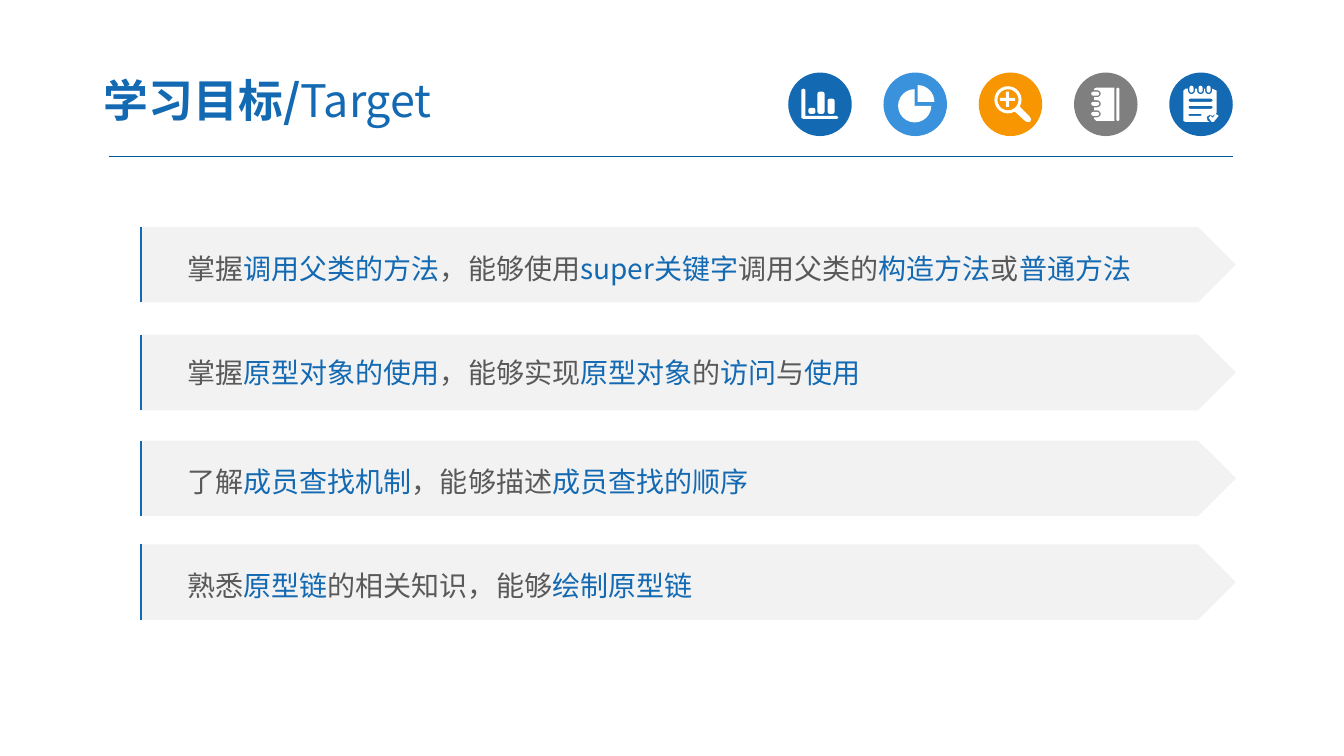
from math import cos, radians, sin

from lxml import etree
from pptx import Presentation
from pptx.dml.color import RGBColor
from pptx.enum import shapes, text
from pptx.oxml import ns
from pptx.util import Inches, Pt

FONT = "Noto Sans CJK SC"
BLUE = RGBColor(0x13, 0x69, 0xB2)
SKY = RGBColor(0x39, 0x92, 0xDB)
AMBER = RGBColor(0xF7, 0x96, 0x00)
GREY = RGBColor(0x7F, 0x7F, 0x7F)
RULE = RGBColor(0x00, 0x5B, 0x9E)
PALE = RGBColor(0xF2, 0xF2, 0xF2)
DARK = RGBColor(0x59, 0x59, 0x59)
WHITE = RGBColor(0xFF, 0xFF, 0xFF)

# Content: plain and highlighted pieces alternate
TITLE = ["学习目标/", "Target"]
GOALS = [
    (2.25, 1.2, ["掌握", "调用父类的方法", "，能够使用", "super关键字",
                 "调用父类的", "构造方法", "或", "普通方法"]),
    (3.32, 1.0, ["掌握", "原型对象的使用", "，能够实现", "原型对象",
                 "的", "访问", "与", "使用"]),
    (4.37, 1.2, ["了解", "成员查找机制", "，能够描述", "成员查找的顺序"]),
    (5.40, 1.2, ["熟悉", "原型链", "的相关知识，能够", "绘制原型链"]),
]


# Contours, in inches from the corner of the disc
def arc(x, y, r, start, end, steps=8):
    turns = [radians(start + (end - start) * i / steps) for i in range(steps + 1)]
    return [(x + r * cos(t), y + r * sin(t)) for t in turns]


def bar(x, y, w, h):
    r = min(w, h, .04) / 2
    return (arc(x + r, y + r, r, 180, 270, 2) + arc(x + w - r, y + r, r, 270, 360, 2)
            + arc(x + w - r, y + h - r, r, 0, 90, 2) + arc(x + r, y + h - r, r, 90, 180, 2))


CHART = [[(.13, .17), (.15, .16), (.17, .17), (.17, .43), (.48, .43), (.50, .45),
          (.48, .46), (.15, .46), (.13, .45)],
         bar(.20, .35, .07, .06), bar(.29, .19, .07, .22), bar(.39, .26, .07, .15)]
SHARE = [[(.31, .33)] + arc(.31, .33, .165, 0, 270, 18),
         [(.34, .29)] + arc(.34, .29, .165, 270, 360)]
ZOOM = [arc(.29, .27, .135, 60, 390, 20)
        + [(.50, .43), (.52, .46), (.51, .49), (.48, .49), (.46, .48)],
        arc(.29, .27, .105, 0, 360, 20),
        [(.21, .25), (.27, .25), (.27, .19), (.30, .19), (.30, .25), (.36, .25),
         (.36, .28), (.30, .28), (.30, .34), (.27, .34), (.27, .28), (.21, .28)]]
HOLES, RINGS = (.21, .31, .41), (.22, .31, .39)
COVER = [(.20, .16), (.22, .15), (.40, .15), (.40, .48), (.22, .48), (.20, .46)]
BITES = [p for y in reversed(HOLES) for p in
         [(.20, y + .035)] + arc(.23, y, .035, 90, -90, 6) + [(.20, y - .035)]]
BOOK = [COVER + BITES, bar(.42, .15, .03, .33)]
BOOK += [bar(.17, y - .02, .08, .04) for y in HOLES]
CUTS = [p for x in RINGS for p in
        [(x - .035, .16)] + arc(x, .18, .035, 180, 0, 6) + [(x + .035, .16)]]
SHEET = [(.47, .18), (.47, .40), (.43, .43), (.40, .42), (.37, .44), (.38, .48),
         (.40, .49), (.16, .49), (.14, .48), (.14, .18), (.16, .16)]
NOTE = [CUTS + SHEET, bar(.19, .26, .24, .03), bar(.19, .33, .24, .03),
        bar(.19, .41, .13, .02),
        [(.39, .45), (.41, .43), (.43, .45), (.46, .41), (.49, .43), (.44, .49), (.42, .49)]]
NOTE += [bar(x - .02, .13, .04, .07) for x in RINGS]
ICONS = [(BLUE, CHART), (SKY, SHARE), (AMBER, ZOOM), (GREY, BOOK), (BLUE, NOTE)]

deck = Presentation()
deck.slide_width, deck.slide_height = Inches(13.333), Inches(7.5)
slide = deck.slides.add_slide(deck.slide_layouts[5])


def paint(item, fill):
    item.shadow.inherit = False
    item.fill.solid()
    item.fill.fore_color.rgb = fill
    item.line.fill.background()
    return item


def place(kind, box, fill):
    return paint(slide.shapes.add_shape(kind, *map(Inches, box)), fill)


def trace(paths, left, top, closed=True):
    pen = None
    for path in paths:
        spots = [(Inches(left + x), Inches(top + y)) for x, y in path]
        if pen is None:
            pen = slide.shapes.build_freeform(*spots[0])
        else:
            pen.move_to(*spots[0])
        pen.add_line_segments(spots[1:], close=closed)
    return pen.convert_to_shape()


def write(para, words, size, tint, bold=False):
    run = para.add_run()
    run.text = words
    run.font.size, run.font.bold = Pt(size), bold
    run.font.color.rgb = tint
    run.font.name = FONT
    face = etree.SubElement(run._r.get_or_add_rPr(), ns.qn("a:ea"))
    face.set("typeface", FONT)


# Title and rule
head = slide.shapes.title
head.left, head.top, head.width, head.height = map(Inches, (.9, .63, 5.22, .72))
frame = head.text_frame
frame.auto_size = text.MSO_AUTO_SIZE.NONE
frame.vertical_anchor = text.MSO_ANCHOR.MIDDLE
frame.margin_left = frame.margin_right = Inches(.13)
frame.margin_top = frame.margin_bottom = Inches(.07)
para = frame.paragraphs[0]
para.alignment = text.PP_ALIGN.LEFT
for i, words in enumerate(TITLE):
    write(para, words, 32, BLUE, bold=i == 0)
rule = slide.shapes.add_connector(
    shapes.MSO_CONNECTOR.STRAIGHT, *map(Inches, (1.08, 1.55, 12.23, 1.55)))
rule.line.color.rgb = RULE
rule.line.width = Pt(.75)
etree.SubElement(rule._element.spPr, ns.qn("a:effectLst"))

# Row of icons
LEFT, TOP, SIZE, STEP = 7.82, .72, .63, .945
for i, (tint, paths) in enumerate(ICONS):
    left = LEFT + i * STEP
    place(shapes.MSO_SHAPE.OVAL, (left, TOP, SIZE, SIZE), tint)
    paint(trace(paths, left, TOP), WHITE)

# Goals: arrow band with a blue left edge
EDGE, WIDE, HIGH = 1.39, 10.87, .75
for top, gap, pieces in GOALS:
    band = place(shapes.MSO_SHAPE.PENTAGON, (EDGE, top, WIDE, HIGH), PALE)
    frame = band.text_frame
    frame.word_wrap = True
    frame.vertical_anchor = text.MSO_ANCHOR.MIDDLE
    frame.margin_left = Inches(.47)
    para = frame.paragraphs[0]
    para.alignment = text.PP_ALIGN.LEFT
    para.line_spacing = gap
    for i, words in enumerate(pieces):
        write(para, words, 20, BLUE if i % 2 else DARK)
    side = trace([[(0, HIGH), (0, 0)]], EDGE + .01, top, closed=False)
    side.width = Inches(.16)
    side.shadow.inherit = False
    side.fill.background()
    side.line.color.rgb = BLUE
    side.line.width = Pt(1.5)

deck.save("out.pptx")
